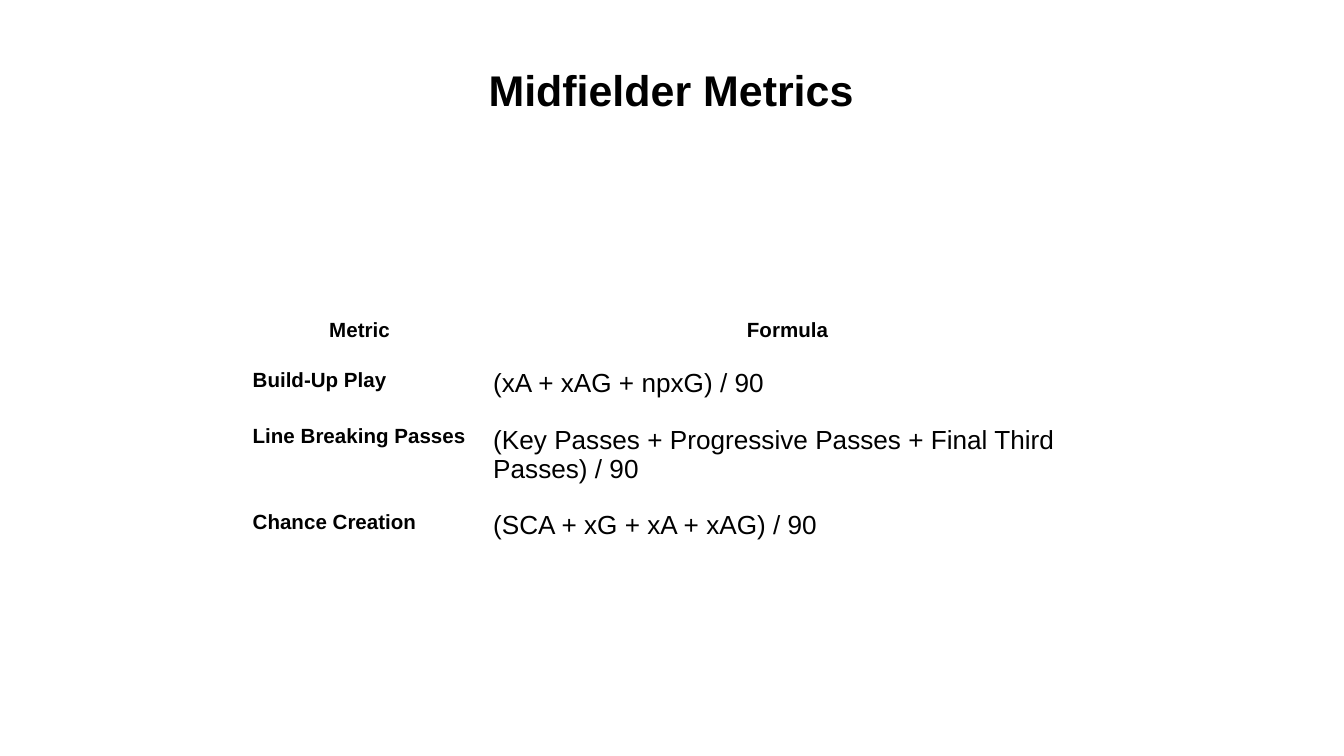
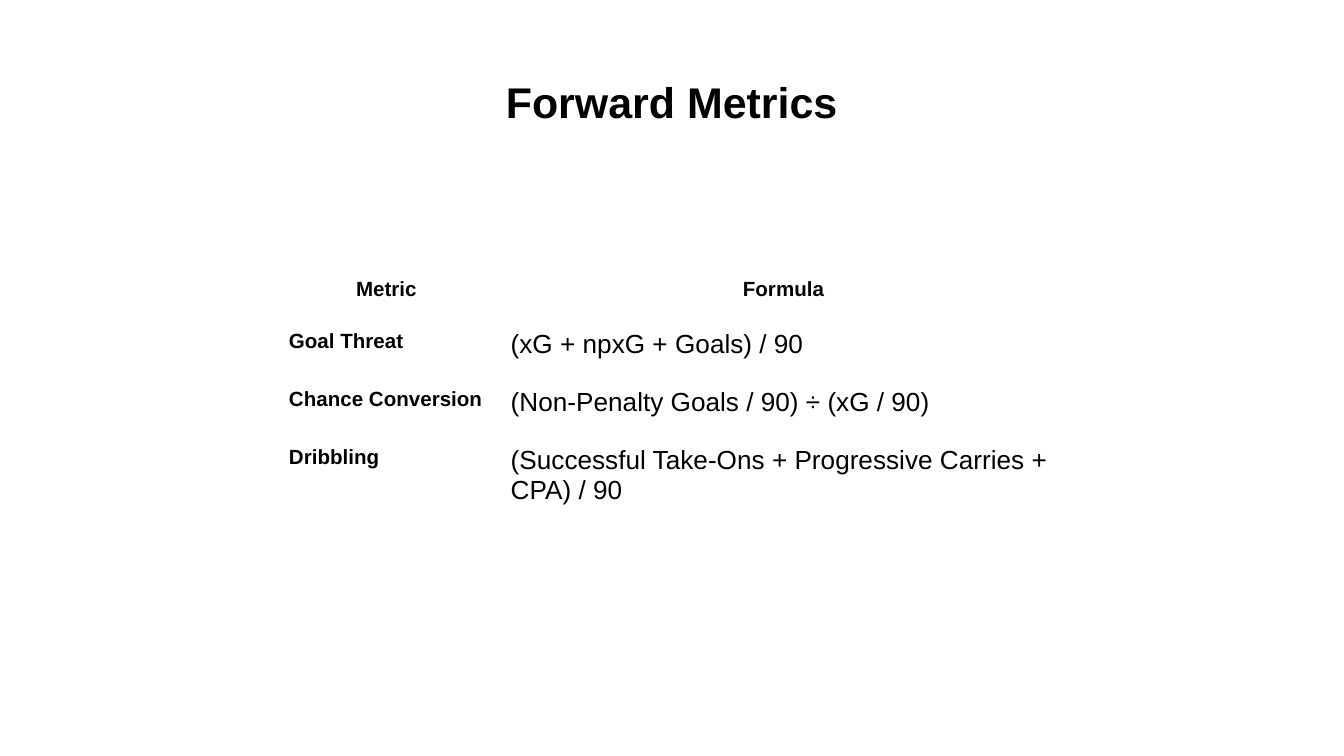
"""Build two slides that list player metrics and their formulas."""
from pptx import Presentation
from pptx import util as u
from pptx.dml.color import RGBColor
from pptx.enum import text

COLORS = {"text": "000000", "background": "FFFFFF"}
FONT = "Arial"
INSET = u.Inches(0.1)
FRAME_SIDE = u.Inches(3.28)
HEADER = ("Metric", "Formula")

SLIDES = [
    {
        "title": "Midfielder Metrics",
        "title_box": (3.35, 0.3, 3.29, 0.67),
        "table_at": (1.78, 2.25),
        "cols": (1.79, 4.58),
        "rows": (0.25, 0.25, 0.25, 0.41),
        "metrics": [
            ("Build-Up Play", "(xA + xAG + npxG) / 90"),
            ("Line Breaking Passes",
             "(Key Passes + Progressive Passes + Final Third Passes) / 90"),
            ("Chance Creation", "(SCA + xG + xA + xAG) / 90"),
        ],
    },
    {
        "title": "Forward Metrics",
        "title_box": (3.23, 0.42, 3.54, 0.61),
        "table_at": (2.05, 1.94),
        "cols": (1.65, 4.26),
        "rows": (0.25, 0.25, 0.25, 0.25),
        "metrics": [
            ("Goal Threat", "(xG + npxG + Goals) / 90"),
            ("Chance Conversion", "(Non-Penalty Goals / 90) ÷ (xG / 90)"),
            ("Dribbling",
             "(Successful Take-Ons + Progressive Carries + CPA) / 90"),
        ],
    },
]


def write(p, words, size, bold, centered):
    p.text = words
    p.alignment = text.PP_ALIGN.CENTER if centered else text.PP_ALIGN.LEFT
    if centered:
        p.line_spacing = 1.15
    font = p.runs[0].font
    font.name, font.size, font.bold = FONT, u.Pt(size), bold
    font.color.rgb = RGBColor.from_string(COLORS["text"])


def set_insets(box):
    box.margin_left = box.margin_right = INSET
    box.margin_top = box.margin_bottom = INSET


def add_title(s, box, title):
    sp = s.shapes.add_textbox(*map(u.Inches, box))
    tf = sp.text_frame
    tf.word_wrap = True
    tf.vertical_anchor = text.MSO_ANCHOR.MIDDLE
    set_insets(tf)
    p = tf.paragraphs[0]
    write(p, title, 23, True, True)
    p.space_before, p.space_after = u.Pt(14), u.Pt(4)


def add_metrics(s, at, cols, rows, metrics):
    frame = s.shapes.add_table(len(rows), len(cols), *map(u.Inches, at),
                               FRAME_SIDE, FRAME_SIDE)
    table = frame.table
    table.first_row = table.horz_banding = False
    for col, width in zip(table.columns, cols):
        col.width = u.Inches(width)
    for row, height in zip(table.rows, rows):
        row.height = u.Inches(height)
    frame.width = frame.height = FRAME_SIDE
    for i, words in enumerate([HEADER, *metrics]):
        for j, word in enumerate(words):
            cell = table.cell(i, j)
            cell.fill.background()
            set_insets(cell)
            is_label = i == 0 or j == 0
            write(cell.text_frame.paragraphs[0], word,
                  11 if is_label else 14, is_label, i == 0)


def add_metrics_slide(prs, data):
    s = prs.slides.add_slide(prs.slide_layouts[6])
    s.background.fill.solid()
    s.background.fill.fore_color.rgb = RGBColor.from_string(COLORS["background"])
    add_metrics(s, data["table_at"], data["cols"], data["rows"], data["metrics"])
    add_title(s, data["title_box"], data["title"])


def main():
    prs = Presentation()
    prs.slide_width = u.Inches(10)
    prs.slide_height = prs.slide_width * 9 // 16
    for data in SLIDES:
        add_metrics_slide(prs, data)
    prs.save("out.pptx")


if __name__ == "__main__":
    main()
